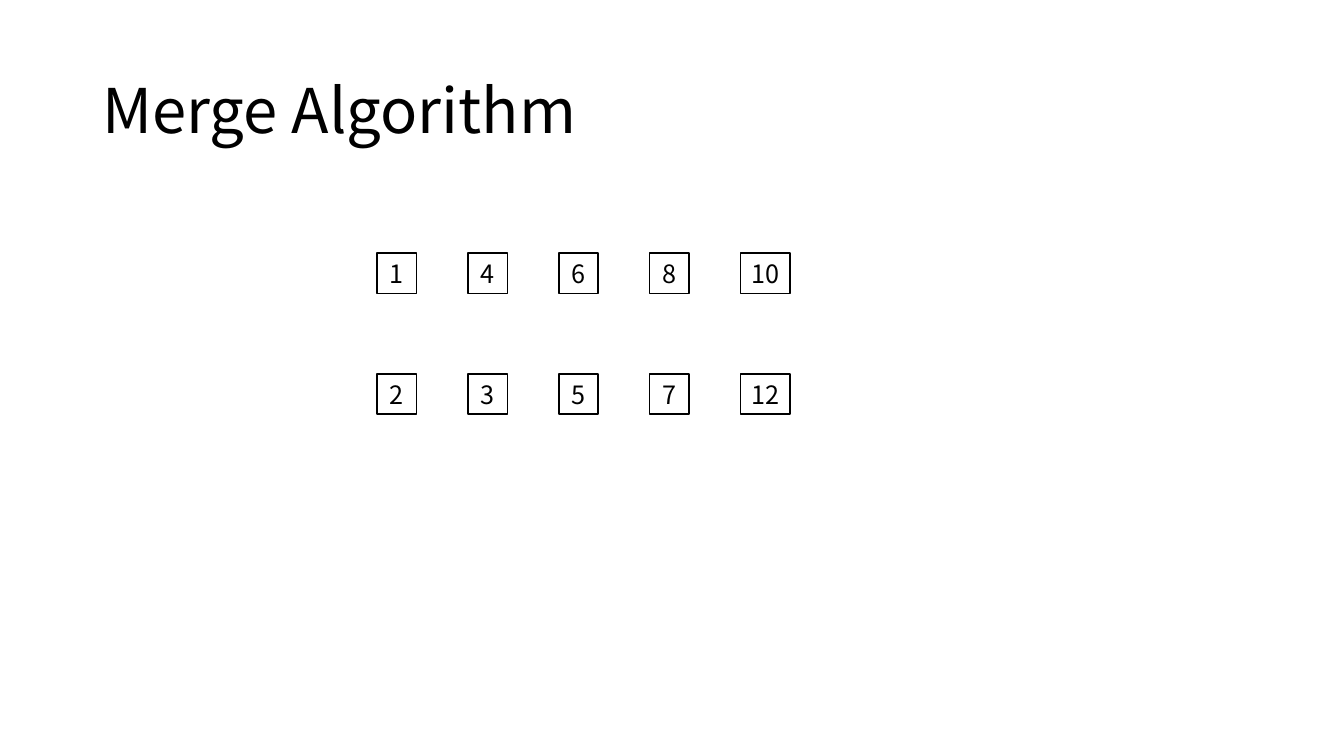
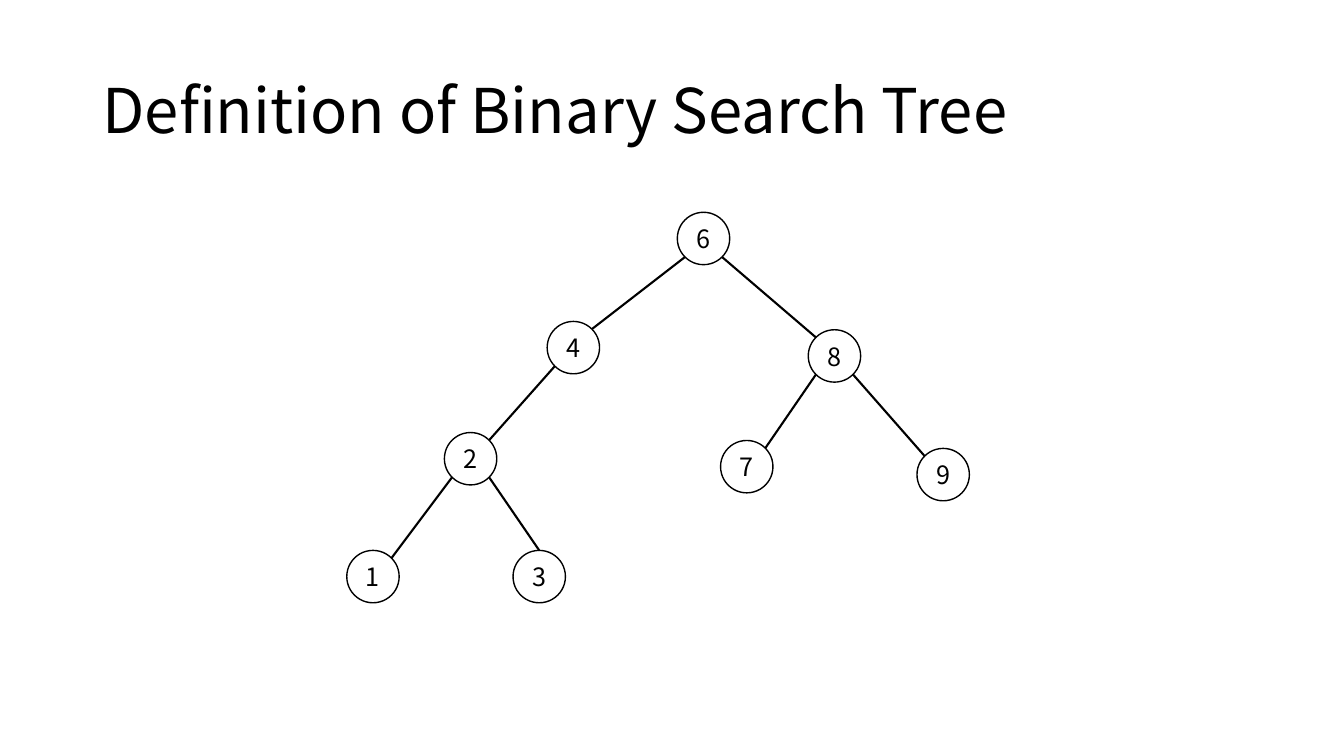
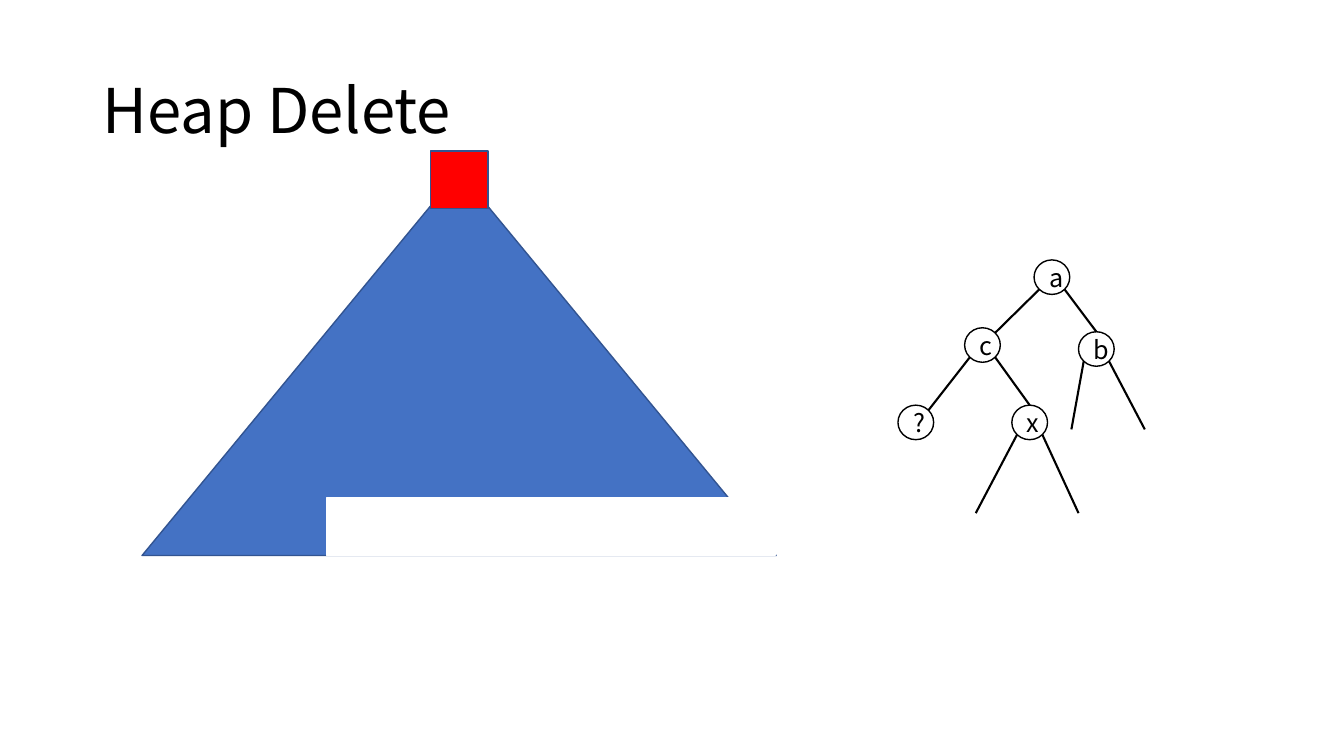
from dataclasses import dataclass
from math import sqrt

from lxml.etree import SubElement
from pptx import Presentation
from pptx.dml.color import RGBColor
from pptx.enum.shapes import MSO_CONNECTOR, MSO_SHAPE
from pptx.enum.text import MSO_ANCHOR, MSO_AUTO_SIZE, PP_ALIGN
from pptx.oxml.ns import qn
from pptx.util import Cm, Pt

# Shared style
BLACK, WHITE, RED = "000000", "FFFFFF", "FF0000"
BLUE, DARK_BLUE = "4472C4", "325491"
FONT = "Noto Sans CJK KR"
TITLE_FONT = {"name": FONT, "size": Pt(44), "bold": False}
LABEL_FONT = {"name": FONT, "size": Pt(18)}
TITLE_BOX = {"left": Cm(2.33), "top": Cm(1.01), "width": Cm(29.21), "height": Cm(3.68)}
TITLE_FRAME = {"vertical_anchor": MSO_ANCHOR.MIDDLE, "auto_size": MSO_AUTO_SIZE.NONE}
TITLE_PARAGRAPH = {"alignment": PP_ALIGN.LEFT, "line_spacing": 0.9}
CELL_FRAME = {"word_wrap": False, "auto_size": MSO_AUTO_SIZE.NONE}


@dataclass
class Box:
    """A preset shape; lengths in centimetres."""
    left: float
    top: float
    width: float
    height: float
    kind: MSO_SHAPE = MSO_SHAPE.RECTANGLE
    fill: str = ""
    line: str = BLACK
    weight: float = 1
    text: str = ""

    def corner(self, right: bool, bottom: bool) -> tuple[float, float]:
        """Point on the ellipse at 45 degrees."""
        dx = self.width / sqrt(8) * (1 if right else -1)
        dy = self.height / sqrt(8) * (1 if bottom else -1)
        return self.center + dx, self.top + self.height / 2 + dy

    @property
    def center(self) -> float:
        return self.left + self.width / 2


@dataclass
class Node:
    label: str
    left: float
    top: float
    parent: str = ""
    joins_top: bool = False


@dataclass
class Branch:
    """An open branch that ends without a node."""
    parent: str
    x: float
    y: float


def color(value: str) -> RGBColor:
    return RGBColor.from_string(value)


def apply(target, values: dict) -> None:
    for name, value in values.items():
        setattr(target, name, value)


def write(p, text: str, font: dict) -> None:
    r = p.add_run()
    r.text = text
    apply(r.font, font)
    r.font.color.rgb = color(BLACK)


def add_titled_slide(prs, title: str):
    s = prs.slides.add_slide(prs.slide_layouts[5])
    sp = s.shapes.title
    apply(sp, TITLE_BOX)
    apply(sp.text_frame, TITLE_FRAME)
    p = sp.text_frame.paragraphs[0]
    apply(p, TITLE_PARAGRAPH)
    write(p, title, TITLE_FONT)
    return s


def add_box(s, box: Box):
    sp = s.shapes.add_shape(box.kind, Cm(box.left), Cm(box.top), Cm(box.width), Cm(box.height))
    sp.shadow.inherit = False
    if box.fill:
        sp.fill.solid()
        sp.fill.fore_color.rgb = color(box.fill)
    else:
        sp.fill.background()
    sp.line.color.rgb = color(box.line)
    sp.line.width = Pt(box.weight)
    if box.text:
        p = sp.text_frame.paragraphs[0]
        p.alignment = PP_ALIGN.CENTER
        write(p, box.text, LABEL_FONT)
    return sp


def add_line(s, start: tuple[float, float], end: tuple[float, float]):
    line = s.shapes.add_connector(MSO_CONNECTOR.STRAIGHT, *(Cm(v) for v in (*start, *end)))
    line.line.color.rgb = color(BLACK)
    line.line.width = Pt(1.5)
    SubElement(line._element.spPr, qn("a:effectLst"))
    return line


def add_tree(s, nodes: list[Node], width: float, height: float, branches: list[Branch]) -> None:
    boxes = {n.label: Box(n.left, n.top, width, height, MSO_SHAPE.OVAL, text=n.label) for n in nodes}
    shapes = {label: add_box(s, box) for label, box in boxes.items()}
    # Edges between nodes
    for n in nodes:
        if not n.parent:
            continue
        parent, child = boxes[n.parent], boxes[n.label]
        goes_right = child.center > parent.center
        line = add_line(s, parent.corner(goes_right, True), child.corner(not goes_right, False))
        if n.joins_top:
            line.end_connect(shapes[n.label], 0)
    # Open branches
    for b in branches:
        parent = boxes[b.parent]
        add_line(s, parent.corner(b.x > parent.center, True), (b.x, b.y))


def build_merge(prs) -> None:
    s = add_titled_slide(prs, "Merge Algorithm")
    left, pitch = 9.5, 2.29
    for top, values in ((6.38, (1, 4, 6, 8, 10)), (9.42, (2, 3, 5, 7, 12))):
        for i, value in enumerate(values):
            width = 1.25 if value > 9 else 1
            sp = add_box(s, Box(left + i * pitch, top, width, 1.02, weight=1.25, text=str(value)))
            apply(sp.text_frame, CELL_FRAME)


def build_search_tree(prs) -> None:
    s = add_titled_slide(prs, "Definition of Binary Search Tree")
    nodes = [
        Node("6", 17.07, 5.35),
        Node("4", 13.79, 8.1, "6"),
        Node("8", 20.37, 8.31, "6"),
        Node("2", 11.2, 10.9, "4"),
        Node("7", 18.16, 11.1, "8"),
        Node("9", 23.11, 11.3, "8"),
        Node("1", 8.74, 13.87, "2"),
        Node("3", 12.93, 13.87, "2", joins_top=True),
    ]
    add_tree(s, nodes, 1.32, 1.32, [])


def build_heap(prs) -> None:
    s = add_titled_slide(prs, "Heap Delete")
    # Heap outline: body, missing part of the last level, root
    for box in (
        Box(3.58, 4.32, 15.98, 9.68, MSO_SHAPE.ISOSCELES_TRIANGLE, BLUE, DARK_BLUE),
        Box(8.23, 12.55, 11.3, 1.45, fill=WHITE, line=WHITE),
        Box(10.85, 3.81, 1.45, 1.45, fill=RED, line=DARK_BLUE),
    ):
        add_box(s, box)
    # Example tree
    nodes = [
        Node("a", 26.06, 6.55),
        Node("c", 24.31, 8.26, "a"),
        Node("b", 27.18, 8.36, "a", joins_top=True),
        Node("?", 22.63, 10.21, "c"),
        Node("x", 25.5, 10.21, "c", joins_top=True),
    ]
    branches = [
        Branch("x", 24.59, 12.93),
        Branch("x", 27.18, 12.93),
        Branch("b", 27, 10.82),
        Branch("b", 28.85, 10.82),
    ]
    add_tree(s, nodes, 0.9, 0.87, branches)


def main() -> None:
    prs = Presentation()
    prs.slide_width, prs.slide_height = Cm(33.87), Cm(19.05)
    for build in (build_merge, build_search_tree, build_heap):
        build(prs)
    prs.save("out.pptx")


if __name__ == "__main__":
    main()
